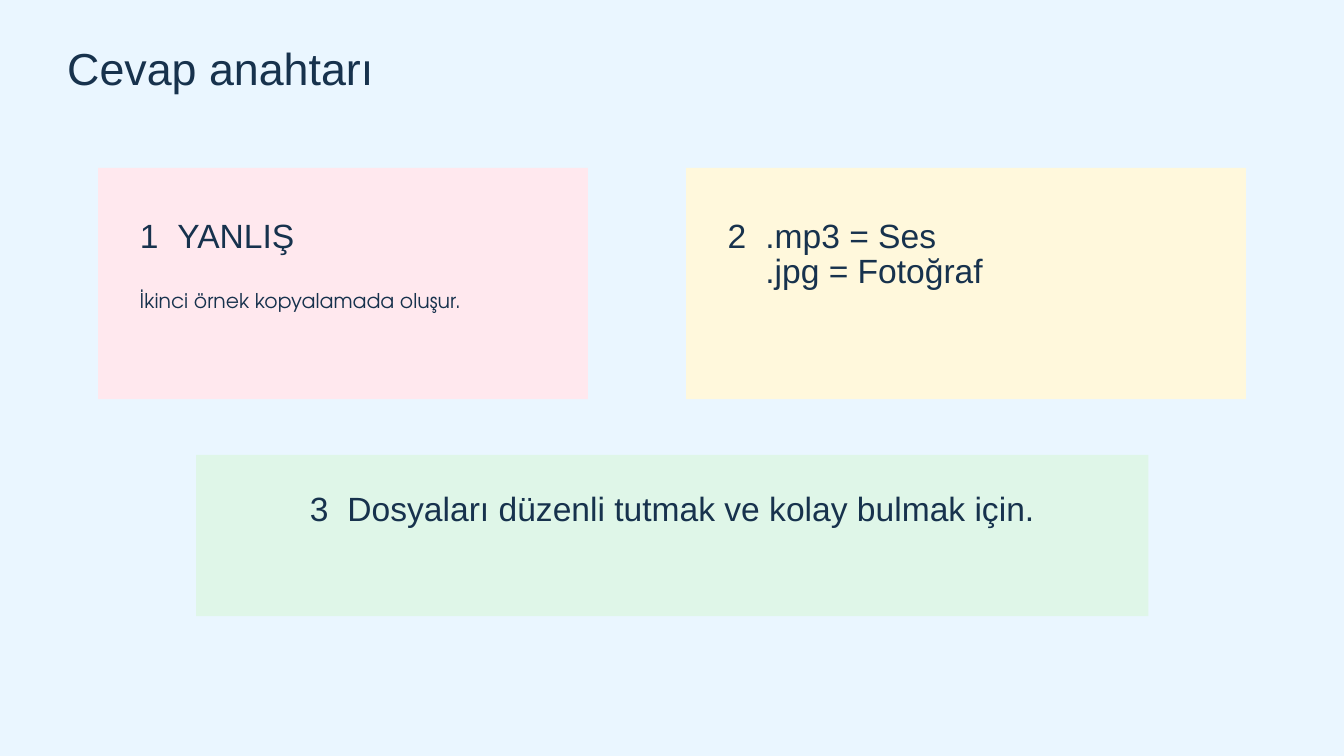
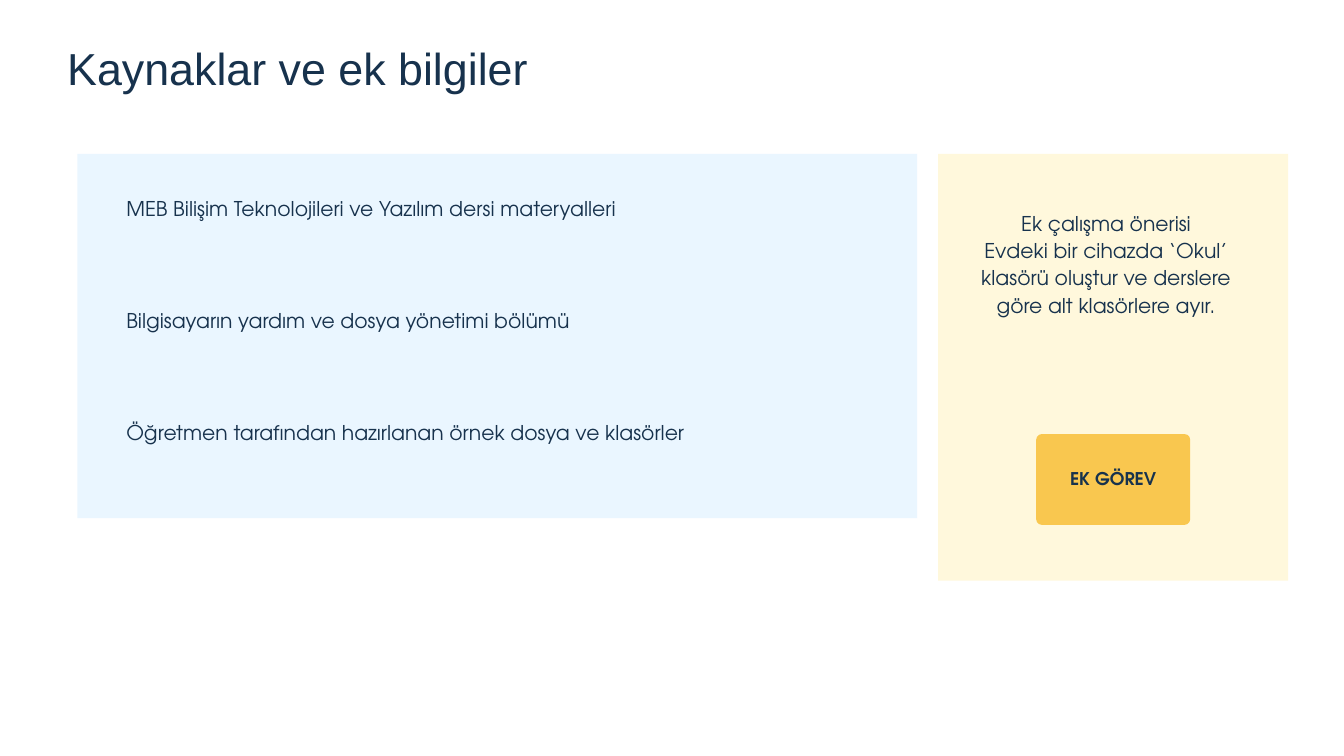
from pptx import Presentation
from pptx.dml.color import RGBColor
from pptx.enum.shapes import MSO_SHAPE
from pptx.enum.text import MSO_ANCHOR, MSO_AUTO_SIZE, PP_ALIGN
from pptx.util import Inches, Pt

# Shared colours and text styles
INK, SKY, PINK, CREAM, MINT, GOLD, WHITE = (
    "17324D", "EAF6FF", "FFE8EE", "FFF8DC", "DFF6E8", "F9C74F", "FFFFFF")
STYLES = {
    "title": ({"name": "Arial", "size": Pt(48)}, 50.4),
    "answer": ({"name": "Arial", "size": Pt(36)}, 37.8),
    "body": ({"name": "TeX Gyre Adventor", "size": Pt(21.8)}, 29.4),
    "button": ({"name": "TeX Gyre Adventor", "size": Pt(18.8), "bold": True}, 20.6),
}
NUMBER_WIDTH = 0.56


def paint(fill, color):
    fill.solid()
    fill.fore_color.rgb = RGBColor.from_string(color)


def write(shape, lines, style, align=PP_ALIGN.LEFT, inset=0, hanging=None):
    """Fill a shape with paragraphs; hanging is the left edge of a number column."""
    frame = shape.text_frame
    frame.word_wrap = True
    for side in ("left", "top", "right", "bottom"):
        setattr(frame, f"margin_{side}", Inches(inset))
    font_values, spacing = STYLES[style]
    for index, line in enumerate(lines):
        paragraph = frame.paragraphs[0] if index == 0 else frame.add_paragraph()
        paragraph.alignment = align
        paragraph.line_spacing = Pt(spacing)
        if hanging is not None:
            properties = paragraph._p.get_or_add_pPr()
            properties.set("marL", str(Inches(hanging + NUMBER_WIDTH)))
            properties.set("indent", str(-Inches(NUMBER_WIDTH) if "\t" in line else 0))
        run = paragraph.add_run()
        run.text = line
        for name, value in font_values.items():
            setattr(run.font, name, value)
        paint(run.font.fill, INK)


presentation = Presentation()
presentation.slide_width = Inches(20)
presentation.slide_height = Inches(11.25)

LEFT, CENTER = PP_ALIGN.LEFT, PP_ALIGN.CENTER
RECTANGLE, ROUNDED = MSO_SHAPE.RECTANGLE, MSO_SHAPE.ROUNDED_RECTANGLE

# Each slide: background, title, title width, panels, texts
slides = [
    (SKY, "Cevap anahtarı", 11.46,
     [((1.46, 2.5, 7.29, 3.44), PINK),
      ((10.21, 2.5, 8.33, 3.44), CREAM),
      ((2.92, 6.77, 14.17, 2.4), MINT)],
     [((2.08, 3.27, 4.48, 0.56), ["1\tYANLIŞ"], "answer", LEFT, 0),
      ((2.08, 4.24, 6.04, 0.39), ["İkinci örnek kopyalamada oluşur."], "body", LEFT, None),
      ((10.83, 3.27, 6.77, 1.08), ["2\t.mp3 = Ses", ".jpg = Fotoğraf"], "answer", LEFT, 0),
      ((3.65, 7.33, 12.71, 0.56),
       ["3\tDosyaları düzenli tutmak ve kolay bulmak için."], "answer", LEFT, 0.96)]),
    (WHITE, "Kaynaklar ve ek bilgiler", 14.58,
     [((1.15, 2.29, 12.5, 5.42), SKY),
      ((13.96, 2.29, 5.21, 6.35), CREAM)],
     [((1.88, 2.88 + row * 1.665, 11.46, 0.4), [source], "body", LEFT, None)
      for row, source in enumerate([
          "MEB Bilişim Teknolojileri ve Yazılım dersi materyalleri",
          "Bilgisayarın yardım ve dosya yönetimi bölümü",
          "Öğretmen tarafından hazırlanan örnek dosya ve klasörler"])]
     + [((14.27, 3.09, 4.38, 1.61),
         ["Ek çalışma önerisi",
          "Evdeki bir cihazda ‘Okul’ klasörü oluştur ve derslere göre alt klasörlere ayır."],
         "body", CENTER, None)]),
]

for background, title, title_width, panels, texts in slides:
    slide = presentation.slides.add_slide(presentation.slide_layouts[6])
    paint(slide.background.fill, background)

    # Coloured panels
    for box, color in panels:
        shape = slide.shapes.add_shape(RECTANGLE, *map(Inches, box))
        shape.shadow.inherit = False
        shape.line.fill.background()
        paint(shape.fill, color)

    # Title and texts
    heading = ((1, 0.71, title_width, 0.71), [title], "title", LEFT, None)
    for box, lines, style, align, hanging in [heading] + texts:
        shape = slide.shapes.add_textbox(*map(Inches, box))
        write(shape, lines, style, align, hanging=hanging)
        shape.text_frame.auto_size = MSO_AUTO_SIZE.SHAPE_TO_FIT_TEXT

# Extra task button on the last slide
button = slide.shapes.add_shape(ROUNDED, *map(Inches, (15.42, 6.46, 2.29, 1.35)))
button.adjustments[0] = 0.06
button.shadow.inherit = False
button.line.fill.background()
paint(button.fill, GOLD)
write(button, ["EK GÖREV"], "button", CENTER, inset=0.06)
button.text_frame.vertical_anchor = MSO_ANCHOR.MIDDLE

presentation.save("out.pptx")
